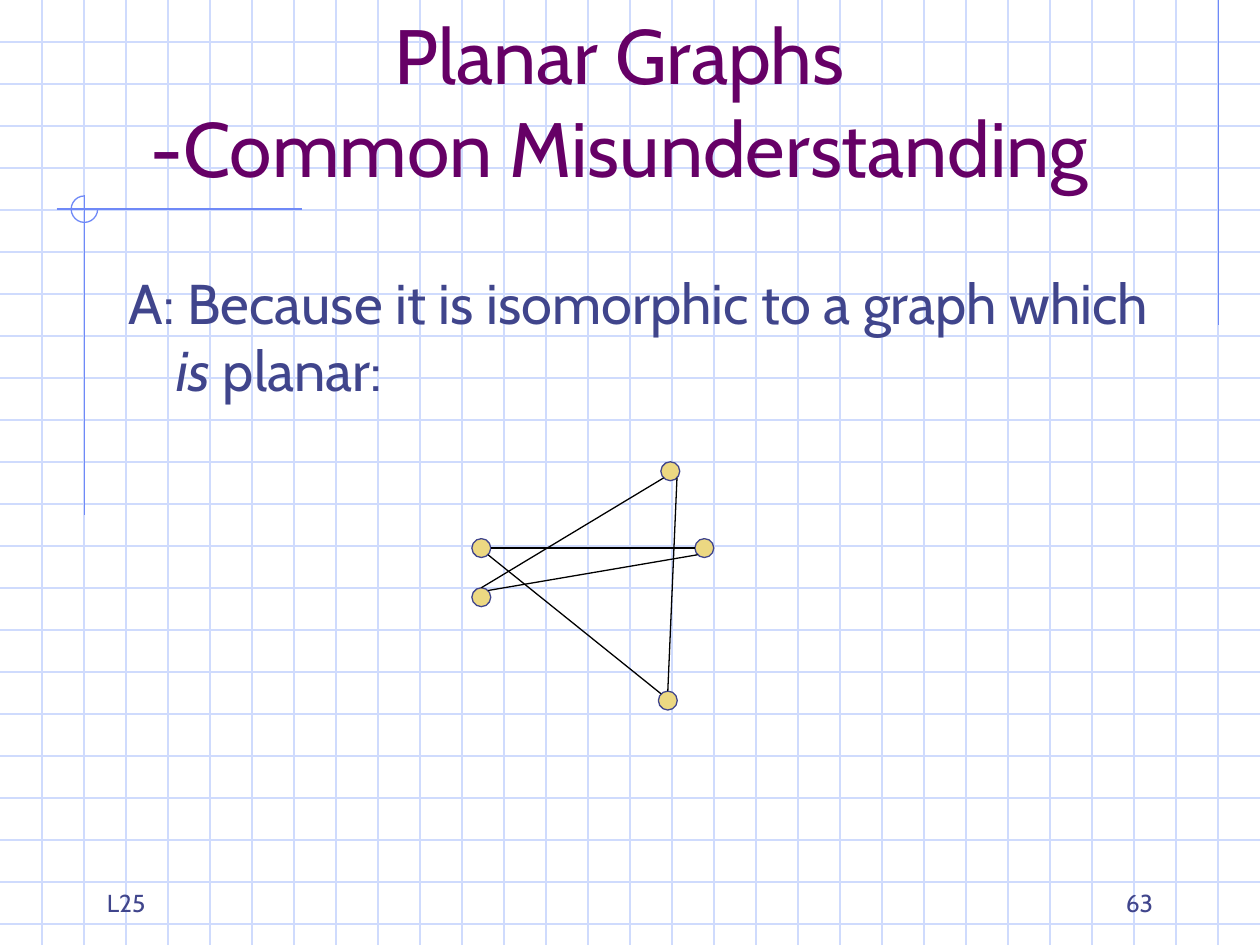
from math import cos, pi, sin

from lxml.etree import SubElement
from pptx import Presentation
from pptx.dml.color import RGBColor
from pptx.enum.shapes import MSO_CONNECTOR, MSO_SHAPE
from pptx.enum.text import MSO_ANCHOR, MSO_AUTO_SIZE, PP_ALIGN
from pptx.oxml.ns import qn
from pptx.util import Inches, Pt

FONT = "Cabin"
WIDE, HIGH = 10, 7.5
COLOURS = {
    "grid": "CFDBFD",
    "trim": "6F89F7",
    "title": "660066",
    "text": "40458C",
    "node": "ECD882",
    "edge": "000000",
}
# Compass points in eighths of a turn, clockwise from east
EAST, SE, SW, WEST, NW, NORTH, NE = 0, 1, 3, 4, 5, 6, 7


def colour(name):
    return RGBColor.from_string(COLOURS[name])


def place(shape, box):
    shape.left, shape.top, shape.width, shape.height = map(Inches, box)


def style(par, size, name, align=PP_ALIGN.LEFT):
    par.alignment = align
    par.font.name = FONT
    par.font.size = Pt(size)
    par.font.color.rgb = colour(name)


def add_line(slide, start, end, name):
    line = slide.shapes.add_connector(
        MSO_CONNECTOR.STRAIGHT, *map(Inches, (*start, *end)))
    line.line.color.rgb = colour(name)
    line.line.width = Pt(0.75)
    SubElement(line.element.spPr, qn("a:effectLst"))


def add_round(slide, kind, mid, size, name):
    """Add a round shape centred on mid, with no fill as yet."""
    x, y = mid
    shape = slide.shapes.add_shape(
        kind, *map(Inches, (x - size / 2, y - size / 2, size, size)))
    shape.shadow.inherit = False
    shape.fill.background()
    shape.line.color.rgb = colour(name)
    shape.line.width = Pt(0.75)
    return shape


def add_grid(slide, box, step):
    left, top, width, height = box
    right, base = left + width, top + height
    for i in range(1, int(height / step) + 1):
        y = top + i * step
        add_line(slide, (left, y), (right, y), "grid")
    for i in range(1, round(width / step)):
        x = left + i * step
        add_line(slide, (x, top), (x, base), "grid")


def add_trim(slide, box):
    """Draw the rule at the right edge and the crossed rules at the left."""
    left, top, width, _ = box
    right = left + width - 0.33
    x, y = left + 0.67, top + 1.66
    add_line(slide, (right, top), (right, top + 2.58), "trim")
    add_line(slide, (x - 0.22, y), (x + 1.73, y), "trim")
    add_line(slide, (x, y - 0.11), (x, y + 2.43), "trim")
    arc = add_round(slide, MSO_SHAPE.ARC, (x, y), 0.21, "trim")
    arc.adjustments[0] = 0
    arc.adjustments[1] = 162  # 270 degrees, in units of 100000/60000


def add_graph(slide, box):
    left, top, width, height = box
    size = 0.15
    right, base = left + width, top + height
    nodes = {
        "left": (left + 0.07, top + 0.68),
        "right": (right - 0.08, top + 0.68),
        "low": (left + 0.07, top + 1.07),
        "base": (left + 1.55, base - 0.08),
        "top": (left + 1.57, top + 0.07),
    }
    edges = [
        ("left", EAST, "right", WEST),
        ("low", NE, "right", SW),
        ("base", NW, "left", SE),
        ("top", SW, "low", NORTH),
        ("top", SE, "base", NORTH),
    ]

    def rim(node, side):
        x, y = nodes[node]
        turn = side * pi / 4
        return x + size / 2 * cos(turn), y + size / 2 * sin(turn)

    for mid in nodes.values():
        dot = add_round(slide, MSO_SHAPE.OVAL, mid, size, "text")
        dot.fill.solid()
        dot.fill.fore_color.rgb = colour("node")
    for a, out, b, into in edges:
        add_line(slide, rim(a, out), rim(b, into), "edge")


def add_note(slide, box, text, align):
    note = slide.shapes.add_textbox(*map(Inches, box))
    frame = note.text_frame
    frame.word_wrap = True
    frame.vertical_anchor = MSO_ANCHOR.BOTTOM
    frame.text = text
    style(frame.paragraphs[0], 14, "text", align)


def raise_up(shape):
    """Bring a placeholder in front of what is drawn so far."""
    shape.element.getparent().append(shape.element)


def fill_title(slide, box):
    title = slide.shapes.title
    raise_up(title)
    place(title, box)
    frame = title.text_frame
    frame.auto_size = MSO_AUTO_SIZE.NONE
    frame.vertical_anchor = MSO_ANCHOR.BOTTOM
    frame.text = "Planar Graphs\v-Common Misunderstanding"
    style(frame.paragraphs[0], 44, "title", PP_ALIGN.CENTER)


def fill_body(slide, box):
    body = slide.placeholders[1]
    raise_up(body)
    place(body, box)
    frame = body.text_frame
    frame.auto_size = MSO_AUTO_SIZE.NONE
    par = frame.paragraphs[0]
    props = par._p.get_or_add_pPr()
    props.set("marL", str(Inches(0.38)))
    props.set("indent", str(Inches(-0.38)))
    SubElement(props, qn("a:buNone"))
    par.space_before = Pt(0)
    style(par, 32, "text")
    for text, slant in (
        ("A: Because it is isomorphic to a graph which ", False),
        ("is", True),
        (" planar:", False),
    ):
        run = par.add_run()
        run.text = text
        if slant:
            run.font.italic = True


def main():
    deck = Presentation()
    deck.slide_width, deck.slide_height = Inches(WIDE), Inches(HIGH)
    slide = deck.slides.add_slide(deck.slide_layouts[1])
    page = (0, 0, WIDE, HIGH)
    add_grid(slide, page, 1 / 3)
    add_trim(slide, page)
    add_note(slide, (0.75, 6.83, 2.08, 0.5), "L25", PP_ALIGN.LEFT)
    add_note(slide, (7.17, 6.83, 2.08, 0.5), "63", PP_ALIGN.RIGHT)
    fill_title(slide, (0.67, 0.33, 8.5, 1.25))
    fill_body(slide, (0.92, 2.08, 8.5, 4.5))
    add_graph(slide, (3.75, 3.67, 1.92, 1.97))
    deck.save("out.pptx")


if __name__ == "__main__":
    main()
